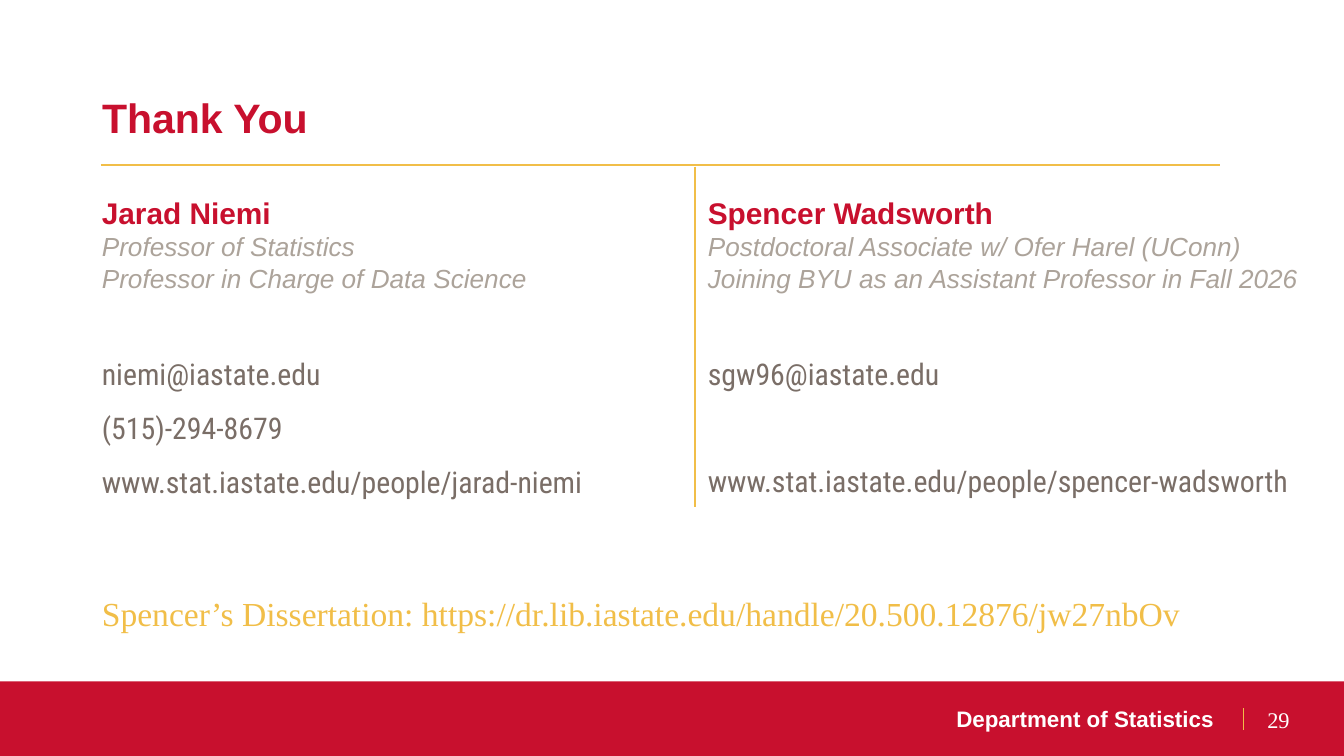
from dataclasses import dataclass

from lxml import etree
from pptx import Presentation
from pptx.dml.color import RGBColor
from pptx.enum.shapes import MSO_CONNECTOR, MSO_SHAPE
from pptx.enum.text import MSO_ANCHOR, MSO_AUTO_SIZE, PP_ALIGN
from pptx.oxml.ns import qn
from pptx.util import Pt

LEFT, RIGHT = PP_ALIGN.LEFT, PP_ALIGN.RIGHT
TOP, MIDDLE = MSO_ANCHOR.TOP, MSO_ANCHOR.MIDDLE
RECTANGLE, STRAIGHT = MSO_SHAPE.RECTANGLE, MSO_CONNECTOR.STRAIGHT
NO_AUTOFIT = MSO_AUTO_SIZE.NONE

COLORS = {
    "red": "C8102E",
    "gold": "F1BE48",
    "white": "FFFFFF",
    "role": "ACA39A",
    "contact": "7A6E67",
}
MARGIN = 47.5
CARD_TOP, CARD_HEIGHT = 100.8, 170
ROLE_GAP = 24      # between the roles and the contact details
CONTACT_ROW = 28.5  # height of one contact line


@dataclass(frozen=True)
class Style:
    size: float
    color: str
    font: str = "Arial"
    bold: bool = False
    italic: bool = False
    line_spacing: float = 1.0


@dataclass(frozen=True)
class Line:
    text: str
    style: Style
    before: float = 0


@dataclass(frozen=True)
class Person:
    name: str
    roles: tuple[str, ...]
    contacts: tuple[str, ...]  # "" leaves that row free
    left: float
    width: float


@dataclass(frozen=True)
class Rule:
    x1: float
    y1: float
    x2: float
    y2: float
    weight: float = 1


TITLE = Style(22, "red", bold=True)
NAME = Style(16, "red", bold=True)
ROLE = Style(14, "role", italic=True)
CONTACT = Style(16, "contact", "Roboto Condensed", line_spacing=1.5)
DISSERTATION = Style(18, "gold", "Times New Roman")
DEPARTMENT = Style(12, "white", bold=True)
NUMBER = Style(12, "white", "Times New Roman")

PEOPLE = (
    Person("Jarad Niemi",
           ("Professor of Statistics", "Professor in Charge of Data Science"),
           ("niemi@iastate.edu", "(515)-294-8679",
            "www.stat.iastate.edu/people/jarad-niemi"),
           MARGIN, 312.5),
    Person("Spencer Wadsworth",
           ("Postdoctoral Associate w/ Ofer Harel (UConn)",
            "Joining BYU as an Assistant Professor in Fall 2026"),
           ("sgw96@iastate.edu", "",
            "www.stat.iastate.edu/people/spencer-wadsworth"),
           372.2, 347.8),
)
RULES = (
    Rule(54, 88.4, 653.8, 88.4),
    Rule(372.2, 89.3, 372.2, 271.8),
    Rule(666, 379.5, 666, 391, 0.75),
)


def rgb(name: str) -> RGBColor:
    return RGBColor.from_string(COLORS[name])


def write(sp, lines: list[Line], align=LEFT, anchor=TOP) -> None:
    tf = sp.text_frame
    tf.word_wrap = True
    tf.auto_size = NO_AUTOFIT
    tf.vertical_anchor = anchor
    for i, line in enumerate(lines):
        p = tf.add_paragraph() if i else tf.paragraphs[0]
        p.text = line.text
        p.alignment = align
        p.space_before = Pt(line.before)
        p.line_spacing = line.style.line_spacing
        font = p.font
        font.name, font.size = line.style.font, Pt(line.style.size)
        font.bold, font.italic = line.style.bold, line.style.italic
        font.color.rgb = rgb(line.style.color)


def add_text(slide, x: float, y: float, w: float, h: float,
             line: Line, align=LEFT, anchor=TOP) -> None:
    sp = slide.shapes.add_textbox(Pt(x), Pt(y), Pt(w), Pt(h))
    write(sp, [line], align, anchor)


def add_block(slide, x: float, y: float, w: float, h: float, color: str):
    sp = slide.shapes.add_shape(RECTANGLE, Pt(x), Pt(y), Pt(w), Pt(h))
    sp.shadow.inherit = False
    sp.fill.solid()
    sp.fill.fore_color.rgb = rgb(color)
    sp.line.fill.background()
    return sp


def add_person(slide, person: Person) -> None:
    lines = [Line(person.name, NAME)]
    lines += [Line(role, ROLE) for role in person.roles]
    gap = ROLE_GAP
    for contact in person.contacts:
        if contact:
            lines.append(Line(contact, CONTACT, gap))
            gap = 0
        else:
            gap += CONTACT_ROW
    sp = add_block(slide, person.left, CARD_TOP, person.width, CARD_HEIGHT, "white")
    write(sp, lines)


def add_rule(slide, rule: Rule) -> None:
    line = slide.shapes.add_connector(
        STRAIGHT, Pt(rule.x1), Pt(rule.y1), Pt(rule.x2), Pt(rule.y2))
    line.line.color.rgb = rgb("gold")
    line.line.width = Pt(rule.weight)
    etree.SubElement(line._element.spPr, qn("a:effectLst"))


def main() -> None:
    prs = Presentation()
    prs.slide_width, prs.slide_height = Pt(720), Pt(405)
    slide = prs.slides.add_slide(prs.slide_layouts[5])

    title = slide.shapes.title
    title.left, title.top = Pt(MARGIN), Pt(46)
    title.width, title.height = Pt(610.5), Pt(63.4)
    write(title, [Line("Thank You", TITLE)])

    add_block(slide, 0, 365, 720, 40, "red")
    add_text(slide, 327.6, 374.4, 329.8, 22.3,
             Line("Department of Statistics", DEPARTMENT), RIGHT)
    add_text(slide, 671.8, 374.6, 41.8, 21.6, Line("29", NUMBER), anchor=MIDDLE)

    for person in PEOPLE:
        add_person(slide, person)
    for rule in RULES:
        add_rule(slide, rule)
    add_text(slide, MARGIN, 314, 598.3, 29,
             Line("Spencer’s Dissertation: "
                  "https://dr.lib.iastate.edu/handle/20.500.12876/jw27nbOv",
                  DISSERTATION))
    prs.save("out.pptx")


if __name__ == "__main__":
    main()
